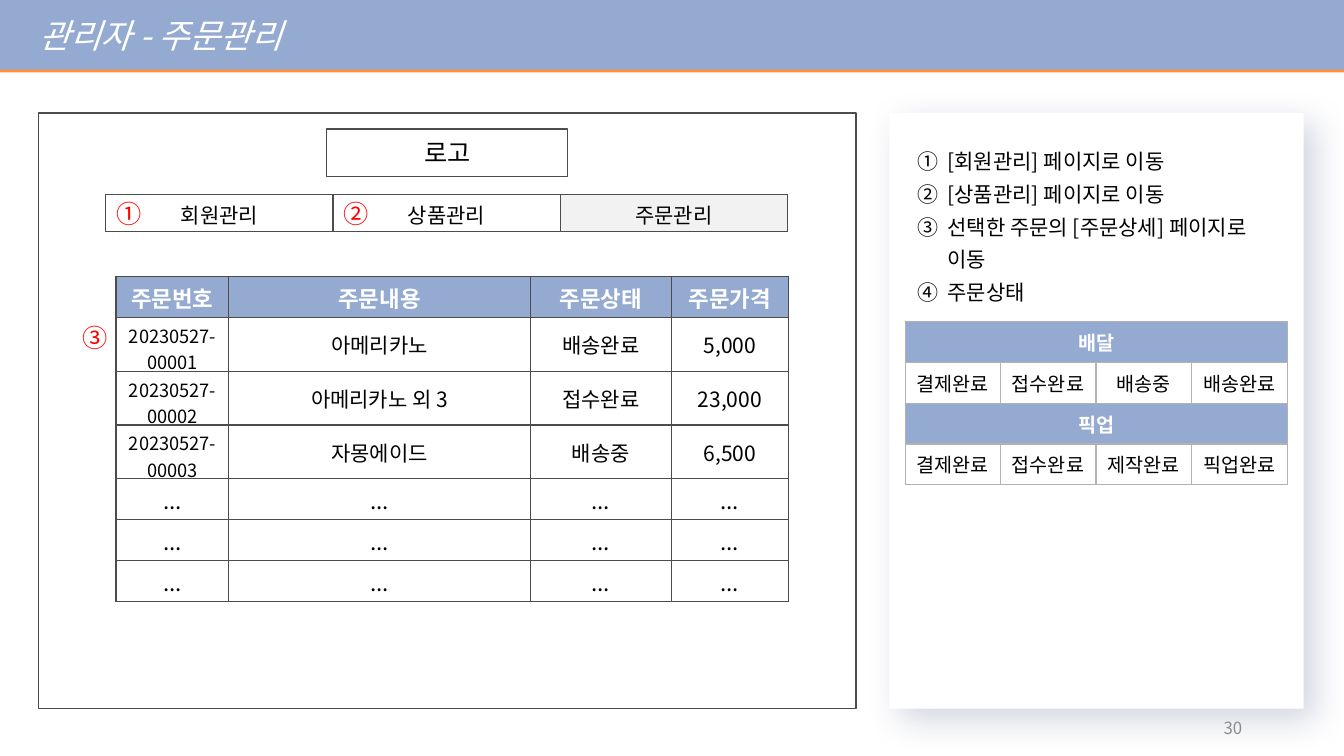
from dataclasses import dataclass
from typing import Optional

from lxml.etree import SubElement
from pptx import Presentation
from pptx.dml.color import RGBColor
from pptx.enum.shapes import MSO_SHAPE
from pptx.enum.text import MSO_ANCHOR, MSO_AUTO_SIZE, PP_ALIGN
from pptx.oxml.ns import qn
from pptx.util import Inches, Pt

FONT = "Noto Sans CJK KR"
BLUE = RGBColor(0x94, 0xAA, 0xD1)
ORANGE = RGBColor(0xFE, 0x91, 0x3E)
NAVY = RGBColor(0x1E, 0x2E, 0x6C)
WHITE = RGBColor(0xFF, 0xFF, 0xFF)
BLACK = RGBColor(0, 0, 0)
RED = RGBColor(0xFF, 0, 0)
DARK = RGBColor(0x4C, 0x4C, 0x4C)
SILVER = RGBColor(0xB2, 0xB2, 0xB2)
GRAY = RGBColor(0x8C, 0x8C, 0x8C)
PALE = RGBColor(0xF2, 0xF2, 0xF2)


@dataclass
class Box:
    left: float
    top: float
    width: float
    height: float

    def inches(self) -> tuple:
        return tuple(map(Inches, (self.left, self.top, self.width, self.height)))


@dataclass
class Shade:
    color: RGBColor
    alpha: int
    blur: float
    dist: float
    angle: int


@dataclass
class Cell:
    text: str
    size: float
    color: RGBColor = BLACK
    fill: RGBColor = WHITE
    bold: bool = False
    span: int = 1


@dataclass
class Badge:
    mark: str
    left: float
    top: float


def write(frame, text: str, *, size: float, color: RGBColor = BLACK,
          bold: bool = False, italic: bool = False, align=PP_ALIGN.LEFT,
          anchor=MSO_ANCHOR.TOP, wrap: Optional[bool] = True, left: float = 0,
          hang: float = 0, space: Optional[float] = None, bullet: str = "") -> None:
    if wrap is not None:
        frame.word_wrap = wrap
    frame.vertical_anchor = anchor
    for index, line in enumerate(text.split("\n")):
        para = frame.paragraphs[0] if index == 0 else frame.add_paragraph()
        para.text = line
        para.alignment = align
        if space:
            para.line_spacing = space
        props = para._p.get_or_add_pPr()
        if left:
            props.set("marL", str(Inches(left)))
            props.set("indent", str(-Inches(hang)))
        if bullet:
            tint = SubElement(SubElement(props, qn("a:buClr")), qn("a:srgbClr"))
            tint.set("val", str(color))
            SubElement(props, qn("a:buFont")).set("typeface", FONT)
            SubElement(props, qn("a:buAutoNum")).set("type", bullet)
        for run in para.runs:
            font = run.font
            font.name, font.size = FONT, Pt(size)
            font.bold, font.italic = bold, italic
            font.color.rgb = color
            SubElement(run._r.get_or_add_rPr(), qn("a:ea")).set("typeface", FONT)


def panel(slide, box: Box, fill: Optional[RGBColor] = None,
          line: Optional[RGBColor] = None, shade: Optional[Shade] = None):
    shape = slide.shapes.add_shape(MSO_SHAPE.RECTANGLE, *box.inches())
    shape.shadow.inherit = False
    if fill is None:
        shape.fill.background()
    else:
        shape.fill.solid()
        shape.fill.fore_color.rgb = fill
    if line is None:
        shape.line.fill.background()
    else:
        shape.line.color.rgb = line
        shape.line.width = Pt(1)
    if shade:
        effect = shape._element.spPr.find(qn("a:effectLst"))
        outer = SubElement(effect, qn("a:outerShdw"), blurRad=str(Pt(shade.blur)),
                           dist=str(Pt(shade.dist)), dir=str(shade.angle * 60000),
                           algn="tl", rotWithShape="0")
        tint = SubElement(outer, qn("a:srgbClr"), val=str(shade.color))
        SubElement(tint, qn("a:alpha"), val=str(shade.alpha * 1000))
    return shape.text_frame


def label(slide, box: Box, grow: bool = True):
    frame = slide.shapes.add_textbox(*box.inches()).text_frame
    if grow:
        frame.auto_size = MSO_AUTO_SIZE.SHAPE_TO_FIT_TEXT
    return frame


def border(cell, color: RGBColor) -> None:
    props = cell._tc.get_or_add_tcPr()
    for side in ("lnL", "lnR", "lnT", "lnB"):
        edge = SubElement(props, qn(f"a:{side}"), w=str(Pt(1)))
        SubElement(SubElement(edge, qn("a:solidFill")), qn("a:srgbClr"), val=str(color))


def grid(slide, box: Box, widths: list[float], rows: list[list[Cell]],
         line: RGBColor, anchor=MSO_ANCHOR.MIDDLE) -> None:
    table = slide.shapes.add_table(len(rows), len(widths), *box.inches()).table
    table.first_row = table.horz_banding = False
    for column, width in zip(table.columns, widths):
        column.width = Inches(width)
    for y, row in enumerate(rows):
        table.rows[y].height = Inches(box.height / len(rows))
        for x in range(len(widths)):
            border(table.cell(y, x), line)
        for x, item in enumerate(row):
            cell = table.cell(y, x)
            if item.span > 1:
                cell.merge(table.cell(y, x + item.span - 1))
            cell.fill.solid()
            cell.fill.fore_color.rgb = item.fill
            cell.vertical_anchor = anchor
            write(cell.text_frame, item.text, size=item.size, color=item.color,
                  bold=item.bold, align=PP_ALIGN.CENTER, anchor=None, wrap=None)


def head(text: str, size: float, span: int = 1) -> Cell:
    return Cell(text, size, WHITE, BLUE, True, span)


def main() -> None:
    deck = Presentation()
    deck.slide_width, deck.slide_height = Inches(13.33), Inches(7.5)
    slide = deck.slides.add_slide(deck.slide_layouts[6])

    panel(slide, Box(8.82, 1.12, 4.11, 5.91), WHITE, shade=Shade(NAVY, 20, 25, 11, 45))
    title = panel(slide, Box(0, 0, 13.33, 0.69), BLUE, shade=Shade(ORANGE, 100, 0, 2, 90))
    write(title, "관리자 - 주문관리", size=24, color=WHITE, italic=True,
          anchor=MSO_ANCHOR.MIDDLE, left=0.29)
    panel(slide, Box(0.38, 1.12, 8.11, 5.91), line=DARK)
    logo = panel(slide, Box(3.24, 1.28, 2.39, 0.47), line=DARK)
    write(logo, "로고", size=18, align=PP_ALIGN.CENTER, anchor=MSO_ANCHOR.MIDDLE)

    notes = label(slide, Box(9, 1.35, 3.78, 2.04))
    write(notes, "[회원관리] 페이지로 이동\n[상품관리] 페이지로 이동\n"
          "선택한 주문의 [주문상세] 페이지로\v이동\n주문상태",
          size=15, left=0.3, hang=0.3, space=1.3, bullet="circleNumDbPlain")
    for para in notes.paragraphs[:2]:
        para.alignment = PP_ALIGN.JUSTIFY

    tabs = [Cell("회원관리", 15), Cell("상품관리", 15), Cell("주문관리", 15, fill=PALE)]
    grid(slide, Box(1.05, 1.93, 6.76, 0.37), [6.76 / 3] * 3, [tabs], DARK, MSO_ANCHOR.TOP)

    orders = [("20230527-00001", "아메리카노", "배송완료", "5,000"),
              ("20230527-00002", "아메리카노 외 3", "접수완료", "23,000"),
              ("20230527-00003", "자몽에이드", "배송중", "6,500")]
    rows = [[head(name, 16) for name in ("주문번호", "주문내용", "주문상태", "주문가격")]]
    rows += [[Cell(code, 13), *(Cell(text, 15) for text in rest)] for code, *rest in orders]
    rows += [[Cell("...", 16)] * 4] * 3
    grid(slide, Box(1.15, 2.74, 6.66, 2.85), [1.12, 2.99, 1.4, 1.16], rows, DARK)

    for badge in (Badge("①", 1.06, 1.92), Badge("②", 3.31, 1.92), Badge("③", 0.72, 3.15)):
        frame = label(slide, Box(badge.left, badge.top, 0.44, 0.4))
        write(frame, badge.mark, size=18, color=RED, wrap=False)
    write(label(slide, Box(9.42, 7.02, 3, 0.4), False), "30", size=12, color=GRAY,
          align=PP_ALIGN.RIGHT, anchor=MSO_ANCHOR.MIDDLE)

    states = [("배달", ("결제완료", "접수완료", "배송중", "배송완료")),
              ("픽업", ("결제완료", "접수완료", "제작완료", "픽업완료"))]
    rows = []
    for kind, steps in states:
        rows += [[head(kind, 14, 4)], [Cell(step, 14) for step in steps]]
    grid(slide, Box(8.98, 3.19, 3.78, 1.62), [0.94, 0.95, 0.95, 0.95], rows, SILVER)

    deck.save("out.pptx")


if __name__ == "__main__":
    main()
